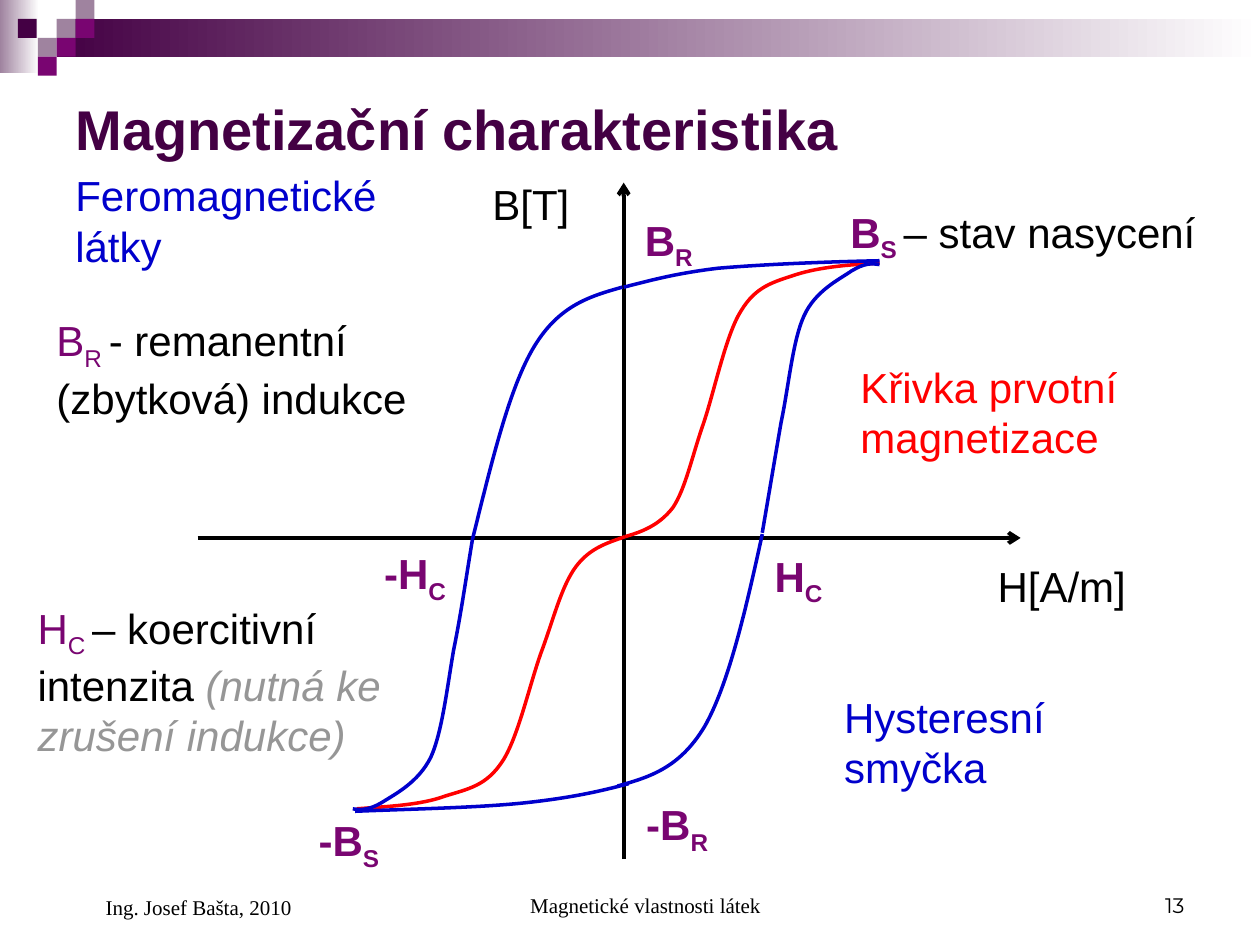
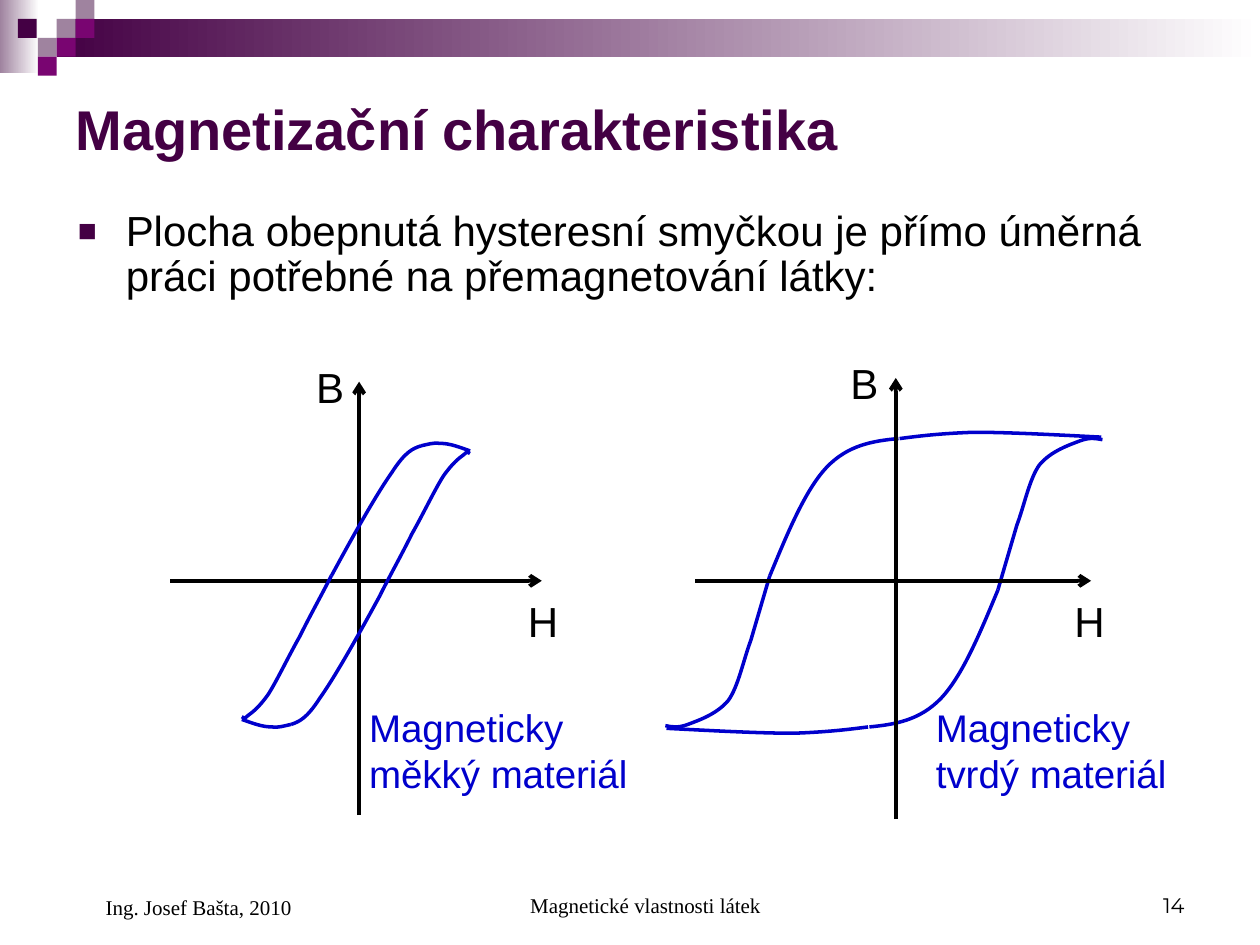
"""Build two slides on magnetisation curves and hysteresis loops."""
from pptx import Presentation
from pptx import util as u
from pptx.dml import color
from pptx.enum import shapes, text
from pptx.oxml import ns, xmlchemy

Pt = u.Pt
C = {"dark": "440044", "mauve": "9F839F", "plum": "790571", "white": "FFFFFF",
     "black": "000000", "blue": "0000CC", "red": "FF0000", "grey": "969696"}
SANS, SERIF, NUMBER = "Arial", "Times New Roman", "Montserrat"
TITLE = "Magnetizační charakteristika"
AUTHOR, TOPIC = "Ing. Josef Bašta, 2010", "Magnetické vlastnosti látek"
LEFT, CENTER, RIGHT = text.PP_ALIGN.LEFT, text.PP_ALIGN.CENTER, text.PP_ALIGN.RIGHT
TOP, MIDDLE, BOTTOM = text.MSO_ANCHOR.TOP, text.MSO_ANCHOR.MIDDLE, text.MSO_ANCHOR.BOTTOM

SQUARES = [(32.4, 10.8, "mauve"), (43.2, 0, "mauve"), (43.2, 10.8, "plum"),
           (21.6, 21.6, "mauve"), (10.2, 10.8, "dark"), (32.4, 21.6, "plum"),
           (21.6, 32.4, "plum")]

FERRO_CURVES = [
    ("red", [(0.7, -0.7), (10.8, -3.6), (20.2, -7.2), (28.1, -17.3), (35.3, -28.1),
             (38.9, -46.1), (45.4, -64.8), (51.8, -83.5), (58.3, -115.9), (67, -129.6),
             (75.6, -144), (85.7, -146.2), (98.6, -150.5), (112.3, -154.8),
             (128.9, -156.2), (146.2, -157)]),
    ("blue", [(146.2, -158.4), (112.3, -157.7), (78.5, -156.2), (54, -154.1),
              (29.5, -151.2), (14.4, -146.9), (0, -143.3)]),
    ("red", [(0.7, -0.7), (-9.4, 2.9), (-19.4, 5.8), (-27.4, 16.6), (-35.3, 27.4),
             (-39.6, 44.6), (-46.1, 62.6), (-53.3, 81.4), (-59.8, 113), (-69.1, 127.4),
             (-78.5, 141.8), (-88.6, 143.3), (-102.2, 147.6), (-115.9, 152.6),
             (-133.9, 153.4), (-152.6, 154.8)]),
    ("blue", [(-0.7, -143.3), (-18.7, -138.2), (-36.7, -133.2), (-51.1, -109.4),
              (-65.5, -85.7), (-75.6, -42.5), (-86.4, 0.7)]),
    ("blue", [(-86.4, 0.7), (-90, 22.3), (-92.9, 43.2), (-97.2, 64.1), (-100.8, 85),
              (-103.7, 110.9), (-110.2, 125.3), (-117.4, 139.7), (-130.3, 146.2),
              (-138.2, 151.2), (-145.4, 155.5), (-150.5, 155.5), (-154.8, 154.8)]),
    ("blue", [(-153.4, 156.2), (-117.4, 154.8), (-80.6, 154.1), (-54.7, 151.2),
              (-28.8, 148.3), (-13, 144.7), (2.9, 140.4)]),
    ("blue", [(-3.6, 141.8), (14.4, 136.8), (31.7, 131.8), (46.1, 108), (59.8, 84.2),
              (69.8, 41), (79.2, -2.2)]),
    ("blue", [(79.2, -2.9), (82.8, -23.8), (86.4, -45.4), (90, -66.2), (94.3, -86.4),
              (96.5, -112.3), (103, -126.7), (109.4, -141.1), (123.1, -147.6),
              (130.3, -152.6), (137.5, -157), (141.8, -157), (146.2, -156.2)]),
]

SOFT_HALF = [
    [(65.2, -76.7), (59.4, -78.8), (53.6, -81), (48.6, -81), (44.3, -81.7),
     (40.7, -80.3), (37.1, -79.6)],
    [(37.1, -79.6), (32.8, -78.1), (28.4, -76.7), (20.5, -64.4), (11.9, -52.2),
     (-1.1, -29.2), (-14, -5.4)],
    [(-14, -5.4), (-19.8, 6.1), (-26.3, 17.6), (-32, 29.2), (-38.5, 40.7),
     (-45, 54.4), (-50, 62.3), (-55.1, 69.5), (-58.7, 72.4), (-61.6, 74.5),
     (-63.7, 76.7), (-64.4, 76), (-65.2, 75.2)],
]
HARD_HALF = [
    [(124.2, -83.2), (97.6, -84.6), (70.9, -86), (51.5, -86), (32, -85.3),
     (20.5, -83.9), (9, -82.4)],
    [(8.3, -82.4), (-6.1, -81), (-20.5, -78.8), (-32.8, -65.9), (-45, -52.9),
     (-55.1, -28.4), (-65.2, -4)],
    [(-65.2, -4), (-68.8, 8.3), (-72.4, 20.5), (-76, 32.8), (-80.3, 44.3),
     (-83.2, 59.4), (-88.9, 67.3), (-95.4, 75.2), (-106.2, 78.8), (-112, 81),
     (-117.7, 83.2), (-121.3, 82.4), (-124.9, 81.7)],
]


def rgb(name):
    """Return a palette colour."""
    return color.RGBColor.from_string(C[name])


def add_text(s, box, runs, size=24, font=SANS, align=LEFT, anchor=TOP, margin=0):
    """Add a text box from runs of (text, colour, style letters b, i, s) and return its paragraph."""
    tf = s.shapes.add_textbox(*map(Pt, box)).text_frame
    tf.word_wrap, tf.vertical_anchor = True, anchor
    p = tf.paragraphs[0]
    p.alignment = align
    if margin:
        p._p.get_or_add_pPr().set("marL", str(Pt(margin)))
    for words, name, style in runs:
        r = p.add_run()
        r.text = words
        r.font.name, r.font.size, r.font.color.rgb = font, Pt(size), rgb(name)
        r.font.bold, r.font.italic = "b" in style, "i" in style
        if "s" in style:
            r._r.get_or_add_rPr().set("baseline", "-25000")
    return p


def add_rect(s, box, name, fade=False):
    """Add a borderless rectangle, solid or fading to white on the right."""
    sp = s.shapes.add_shape(shapes.MSO_SHAPE.RECTANGLE, *map(Pt, box))
    sp.shadow.inherit = False
    sp.line.fill.background()
    if fade:
        sp.fill.gradient()
        sp.fill.gradient_angle = 0
        for stop, tone in zip(sp.fill.gradient_stops, (name, "white")):
            stop.color.rgb = rgb(tone)
    else:
        sp.fill.solid()
        sp.fill.fore_color.rgb = rgb(name)


def add_arrow(s, x1, y1, x2, y2):
    """Add a black axis with an open arrowhead at its end."""
    cx = s.shapes.add_connector(shapes.MSO_CONNECTOR.STRAIGHT, *map(Pt, (x1, y1, x2, y2)))
    cx.line.color.rgb, cx.line.width = rgb("black"), Pt(2.25)
    ln = cx.line._get_or_add_ln()
    ln.append(xmlchemy.OxmlElement("a:tailEnd"))
    ln[-1].set("type", "arrow")
    cx._element.spPr.append(xmlchemy.OxmlElement("a:effectLst"))


def add_curve(s, x, y, points, name):
    """Add a chain of cubic curves whose points are relative to (x, y)."""
    pts = [(Pt(x + dx), Pt(y + dy)) for dx, dy in points]
    fb = s.shapes.build_freeform(*pts[0])
    fb.add_line_segments(pts[1:], close=False)
    sp = fb.convert_to_shape()
    sp.shadow.inherit = False
    sp.fill.background()
    sp.line.color.rgb, sp.line.width = rgb(name), Pt(2)
    steps = sp._element.findall(".//" + ns.qn("a:lnTo"))
    for first, *others in zip(steps[::3], steps[1::3], steps[2::3]):
        first.tag = ns.qn("a:cubicBezTo")
        for step in others:
            first.append(step[0])
            step.getparent().remove(step)


def add_axes(s, x, y, left, right, up, down):
    """Add both axes crossing at (x, y) with the given arm lengths."""
    add_arrow(s, x - left, y, x + right, y)
    add_arrow(s, x, y + down, x, y - up)


def add_loop(s, x, y, half):
    """Add a hysteresis loop from one half and its reflection through (x, y)."""
    for sign in (1, -1):
        for points in half:
            add_curve(s, x, y, [(sign * dx, sign * dy) for dx, dy in points], "blue")


def add_frame(prs, number):
    """Add a slide with the top band, title and footers."""
    s = prs.slides.add_slide(prs.slide_layouts[6])
    add_rect(s, (0, 0, 22.3, 41.8), "mauve", fade=True)
    add_rect(s, (32.4, 10.8, 687.6, 21.6), "dark", fade=True)
    for x, y, name in SQUARES:
        add_rect(s, (x, y, 10.8, 10.8), name)
    add_text(s, (36, 36, 648, 74.2), [(TITLE, "dark", "b")], 32, anchor=MIDDLE)
    footers = [((246.2, 491.8, 228.2, 36), TOPIC, SERIF, CENTER, 17.3),
               ((516.2, 491.8, 167.8, 36), str(number), NUMBER, RIGHT, 0),
               ((36, 491.8, 167.8, 37.4), AUTHOR, SERIF, LEFT, 17.3)]
    for box, words, font, align, margin in footers:
        add_text(s, box, [(words, "black", "")], 12, font, align, BOTTOM, margin)
    return s


def add_ferro_plot(s, x, y):
    """Add the ferromagnetic loop with its labels around the origin (x, y)."""
    add_axes(s, x, y, 243.4, 226.8, 203, 183.6)
    for name, points in FERRO_CURVES:
        add_curve(s, x, y, points, name)
    marks = [(5, -188.6, "B", "R"), (5.8, 145.4, "-B", "R"), (79.2, 3.6, "H", "C"),
             (-144, 2.2, "-H", "C"), (-181.4, 154.8, "-B", "S")]
    for dx, dy, base, sub in marks:
        add_text(s, (x + dx, y + dy, 52.6, 40.3), [(base, "plum", "b"), (sub, "plum", "bs")])
    captions = [
        (206.6, 9.4, 113, 36, [("H[A/m]", "black", "")]),
        (-82.1, -208.8, 67, 36, [("B[T]", "black", "")]),
        (-320.4, -213.8, 203.8, 64.8, [("Feromagnetické látky", "blue", "")]),
        (128.2, -104.4, 178.6, 64.8, [("Křivka prvotní magnetizace", "red", "")]),
        (118.8, 84.2, 178.6, 64.8, [("Hysteresní smyčka", "blue", "")]),
        (122.4, -193, 226.8, 40.3, [("B", "plum", "b"), ("S ", "plum", "bs"),
                                    ("– stav nasycení", "black", "")]),
        (-331.2, -131, 223.2, 69.1, [("B", "plum", ""), ("R ", "plum", "s"),
                                     ("- remanentní (zbytková) indukce", "black", "")]),
        (-342, 33.1, 223.2, 97.9, [("H", "plum", ""), ("C ", "plum", "s"),
                                   ("– koercitivní intenzita ", "black", ""),
                                   ("(nutná ke zrušení indukce)", "grey", "i")]),
    ]
    for dx, dy, w, h, runs in captions:
        add_text(s, (x + dx, y + dy, w, h), runs)


def add_material_labels(s, x, y, h_dx, b_dx, b_dy, caption_dx, caption):
    """Add the axis names and the material caption around the origin (x, y)."""
    add_text(s, (x + h_dx, y + 5, 35, 36), [("H", "black", "")])
    add_text(s, (x + b_dx, y + b_dy, 32, 36), [("B", "black", "")])
    add_text(s, (x + caption_dx, y + 67, 164.2, 60.5), [(caption, "blue", "")], 22)


def add_bullet(s, box, words):
    """Add a paragraph with a small square bullet and a hanging indent."""
    p = add_text(s, box, [(words, "black", "")])
    p.line_spacing = 0.9
    pPr = p._p.get_or_add_pPr()
    pPr.set("marL", str(Pt(27.4)))
    pPr.set("indent", str(-Pt(27.4)))
    for tag, key, value in (("a:buClr", None, None), ("a:buSzPct", "val", "75000"),
                            ("a:buFont", "typeface", SANS), ("a:buChar", "char", "■")):
        el = xmlchemy.OxmlElement(tag)
        if key:
            el.set(key, value)
        else:
            el.append(xmlchemy.OxmlElement("a:srgbClr"))
            el[0].set("val", C["dark"])
        pPr.append(el)


def add_ferro_slide(prs):
    """Add the slide on ferromagnetic materials."""
    add_ferro_plot(add_frame(prs, 13), 356.4, 307.4)


def add_materials_slide(prs):
    """Add the slide comparing soft and hard magnetic materials."""
    s = add_frame(prs, 14)
    soft_x, hard_x, y = 205.2, 511.9, 331.9
    add_axes(s, soft_x, y, 108, 104.4, 113.8, 133.9)
    add_loop(s, soft_x - 1.8, y + 2.5, SOFT_HALF)
    add_loop(s, hard_x - 6.8, y + 1.1, HARD_HALF)
    add_axes(s, hard_x, y, 114.5, 111.6, 115.9, 136.1)
    add_material_labels(s, soft_x, y, 89.3, -31.7, -128.9, -1.4, "Magneticky měkký materiál")
    add_material_labels(s, hard_x, y, 95, -33.1, -131, 15.8, "Magneticky tvrdý materiál")
    add_bullet(s, (37.4, 116.6, 648, 64.8),
               "Plocha obepnutá hysteresní smyčkou je přímo úměrná "
               "práci potřebné na přemagnetování látky:")


def main():
    """Build and save the presentation."""
    prs = Presentation()
    prs.slide_width, prs.slide_height = Pt(720), Pt(540)
    add_ferro_slide(prs)
    add_materials_slide(prs)
    prs.save("out.pptx")


if __name__ == "__main__":
    main()
